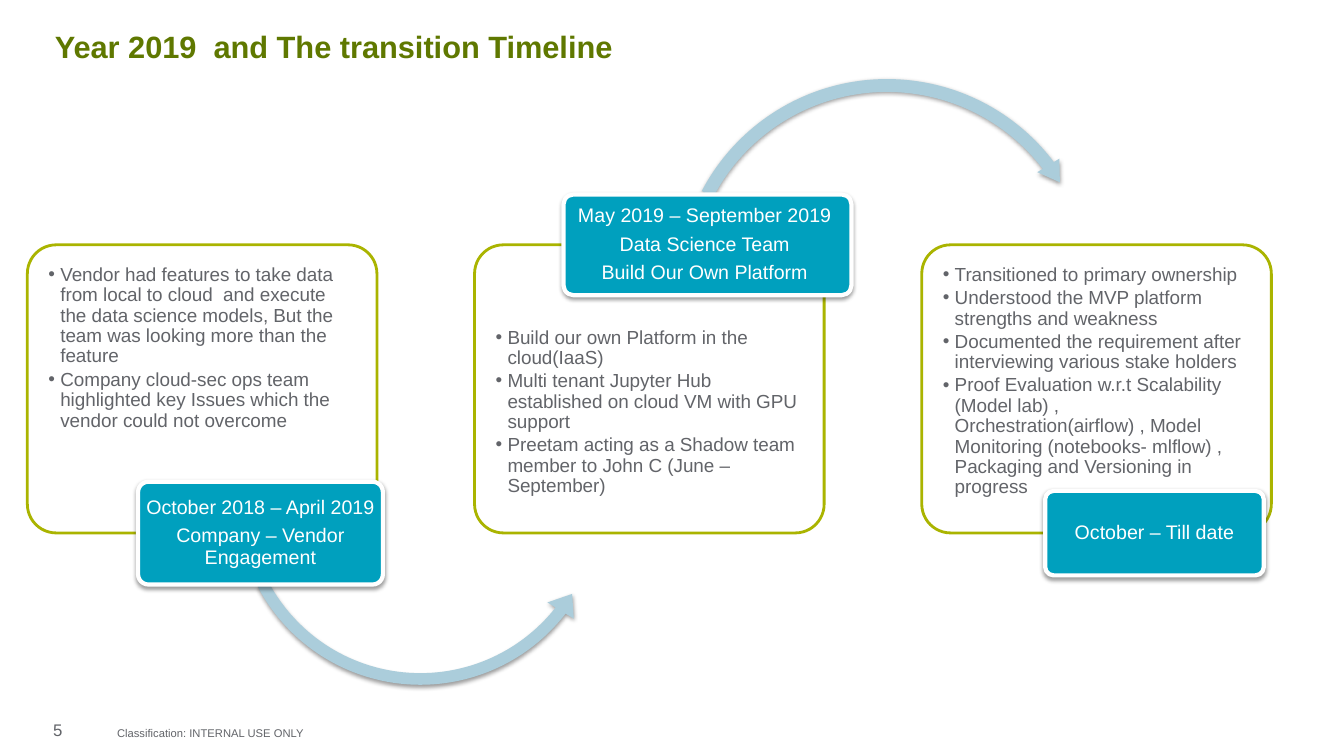
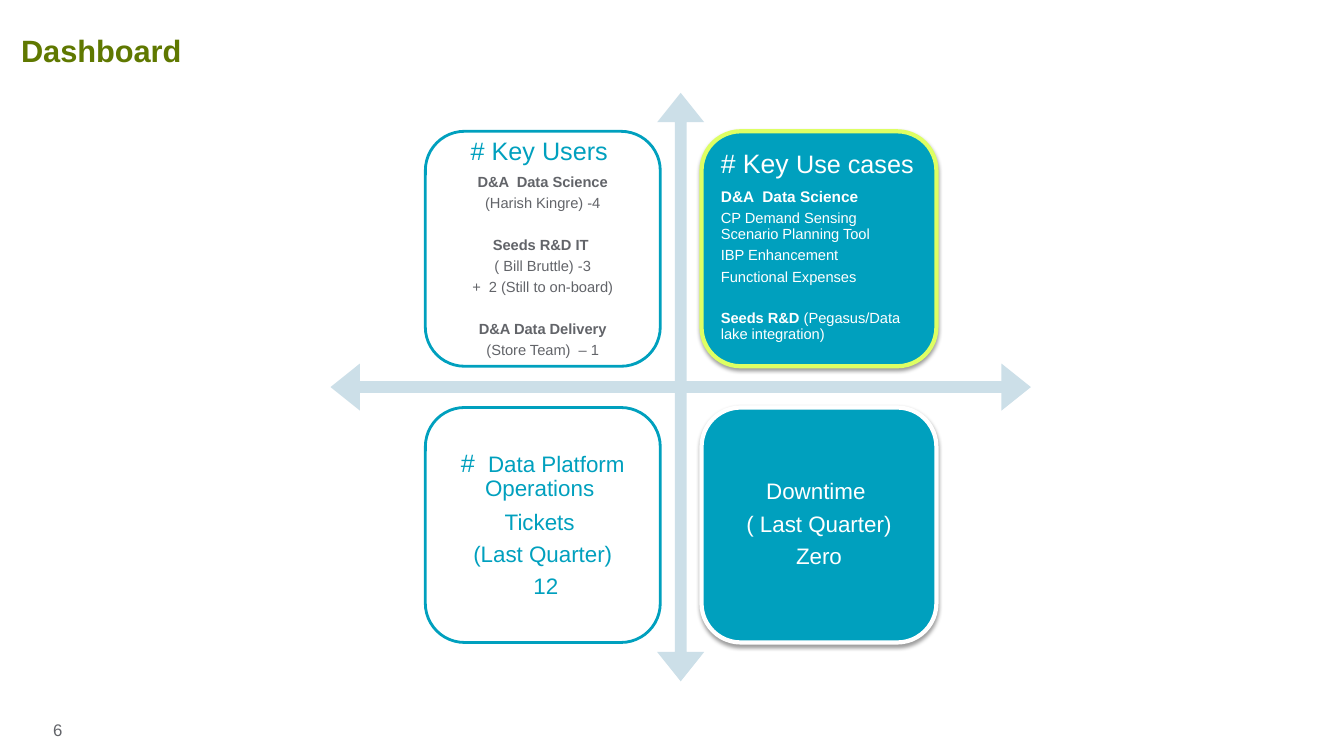
from dataclasses import dataclass

from pptx import Presentation
from pptx.dml.color import RGBColor
from pptx.enum.shapes import MSO_SHAPE
from pptx.enum.text import MSO_ANCHOR, MSO_AUTO_SIZE, PP_ALIGN
from pptx.oxml.ns import qn
from pptx.util import Cm, Pt
from lxml.etree import SubElement

COLORS = {
    "title": "5F7800",
    "body": "626469",
    "white": "FFFFFF",
    "teal": "00A0BE",
    "olive": "AAB400",
    "lime": "DEFF63",
    "arc": "ABCDDB",
    "axis": "CCDFE8",
    "shadow": "000000",
}
FONT = "Arial"
COMPARISON_LAYOUT, TITLE_ONLY_LAYOUT = 4, 5
LABEL_AFTER, TASK_AFTER = 0.36, 0.15  # paragraph gaps as shares of the text size
GROUP_GAP = 14.7

Box = tuple[float, float, float, float]  # left, top, width, height in cm


@dataclass(frozen=True)
class Run:
    text: str
    size: float | None = None
    bold: bool | None = None
    color: str | None = None


@dataclass(frozen=True)
class Line:
    runs: tuple[Run, ...]
    gap: float = 0  # points above the line


@dataclass(frozen=True)
class Phase:
    tasks: tuple[str, ...]
    tasks_top: float
    label: tuple[str, ...]
    label_box: Box


@dataclass(frozen=True)
class Arc:
    preset: MSO_SHAPE
    box: Box
    adjustments: tuple[float, ...]


@dataclass(frozen=True)
class Quadrant:
    lines: tuple
    fill: str
    border: str
    text_color: str
    size: float
    align: PP_ALIGN = PP_ALIGN.CENTER
    anchor: MSO_ANCHOR = MSO_ANCHOR.MIDDLE
    inset: tuple[float, float] = (0.18, 0.18)


def line(text: str, size: float = 10.5, bold: bool = False,
         color: str | None = None, gap: float = 0) -> Line:
    return Line((Run(text, size, bold, color),), gap)


# Timeline content
PHASES = (
    Phase(
        ("Vendor had features to take data from local to cloud  and execute the data "
         "science models, But the team was looking more than the feature",
         "Company cloud-sec ops team highlighted key Issues which the vendor could "
         "not overcome"),
        6.32,
        ("October 2018 – April 2019", "Company – Vendor Engagement"),
        (3.48, 12.14, 6.17, 2.59),
    ),
    Phase(
        ("Build our own Platform in the cloud(IaaS)",
         "Multi tenant Jupyter Hub established on cloud VM with GPU support",
         "Preetam acting as a Shadow team member to John C (June – September)"),
        7.9,
        ("May 2019 – September 2019 ", "Data Science Team ", "Build Our Own Platform "),
        (14.2, 4.9, 7.26, 2.54),
    ),
    Phase(
        ("Transitioned to primary ownership",
         "Understood the MVP platform strengths and weakness",
         "Documented the requirement after interviewing various stake holders",
         "Proof Evaluation w.r.t Scalability (Model lab) , Orchestration(airflow) , Model "
         "Monitoring (notebooks- mlflow) , Packaging and Versioning in progress"),
        6.32,
        ("October – Till date",),
        (26.34, 12.37, 5.51, 2.13),
    ),
)
ARCS = (
    Arc(MSO_SHAPE.LEFT_CIRCULAR_ARROW, (5.72, 7.75, 9.75, 9.75),
        (0.03, 3.91, 22.8, 91.38, 0.04)),
    Arc(MSO_SHAPE.CIRCULAR_ARROW, (16.92, 1.83, 10.87, 10.87),
        (0.03, 3.48, 193.63, 124.62, 0.03)),
)

# Dashboard content, row by row
QUADRANTS = (
    Quadrant(
        (line("# Key Users ", 18, color="teal"),
         line("D&A  Data Science", bold=True),
         line("(Harish Kingre) -4"),
         line("Seeds R&D IT ", bold=True, gap=GROUP_GAP),
         line("( Bill Bruttle) -3"),
         line("+  2 (Still to on-board)"),
         line("D&A Data Delivery", bold=True, gap=GROUP_GAP),
         line("(Store Team)  – 1")),
        "white", "teal", "body", 10.5, inset=(0.18, 0)),
    Quadrant(
        (Line((Run("# Key ", 19), Run("Use cases", 18))),
         line("D&A  Data Science", 11, True),
         line("CP Demand Sensing Scenario Planning Tool"),
         line("IBP Enhancement"),
         line("Functional Expenses"),
         Line((Run("Seeds R&D", bold=True), Run(" (Pegasus/Data lake integration)")),
              GROUP_GAP)),
        "teal", "lime", "white", 10.5, PP_ALIGN.LEFT, MSO_ANCHOR.TOP, (0.2, 0.2)),
    Quadrant(
        (Line((Run("# ", 18), Run(" Data Platform Operations "))),
         "Tickets ", "(Last Quarter)", " 12"),
        "white", "teal", "teal", 16),
    Quadrant(("Downtime ", "( Last Quarter)", "Zero"), "teal", "white", "white", 16),
)


def rgb(name: str) -> RGBColor:
    return RGBColor.from_string(COLORS[name])


def place(shape, box: Box) -> None:
    shape.left, shape.top, shape.width, shape.height = map(Cm, box)


def write(shape, lines, *, size: float, color: str, bold: bool = False,
          align=PP_ALIGN.LEFT, anchor=MSO_ANCHOR.TOP, inset=(0.0, 0.0),
          after: float = 0, spacing: float = 0.9, bullet: bool = False) -> None:
    """Fill a shape with lines; after is a share of the text size."""
    frame = shape.text_frame
    frame.word_wrap = True
    frame.auto_size = MSO_AUTO_SIZE.NONE
    frame.vertical_anchor = anchor
    frame.margin_left = frame.margin_right = Cm(inset[0])
    frame.margin_top = frame.margin_bottom = Cm(inset[1])
    for index, item in enumerate(lines):
        content = Line((Run(item),)) if isinstance(item, str) else item
        paragraph = frame.paragraphs[0] if index == 0 else frame.add_paragraph()
        paragraph.alignment = align
        paragraph.line_spacing = spacing
        paragraph.space_before = Pt(content.gap)
        largest = max(run.size or size for run in content.runs)
        paragraph.space_after = Pt(round(after * largest, 1))
        if bullet:
            properties = paragraph._p.get_or_add_pPr()
            properties.set("marL", str(Cm(0.3)))
            properties.set("indent", str(-Cm(0.3)))
            SubElement(properties, qn("a:buChar")).set("char", "•")
        for part in content.runs:
            run = paragraph.add_run()
            run.text = part.text
            run.font.name = FONT
            run.font.size = Pt(part.size or size)
            run.font.bold = bold if part.bold is None else part.bold
            run.font.color.rgb = rgb(part.color or color)


def add_shadow(shape) -> None:
    effects = shape._element.spPr.find(qn("a:effectLst"))
    outer = SubElement(effects, qn("a:outerShdw"), blurRad=str(Pt(3.1)),
                       dist=str(Pt(1.6)), dir="5400000", rotWithShape="0")
    tint = SubElement(outer, qn("a:srgbClr"), val=COLORS["shadow"])
    SubElement(tint, qn("a:alpha"), val="38000")


def draw(slide, preset: MSO_SHAPE, box: Box, *, fill: str | None = None,
         border: str | None = None, width: float = 2, adjustments=(),
         shadow: bool = False):
    shape = slide.shapes.add_shape(preset, *map(Cm, box))
    for index, value in enumerate(adjustments):
        shape.adjustments[index] = value
    if fill:
        shape.fill.solid()
        shape.fill.fore_color.rgb = rgb(fill)
    else:
        shape.fill.background()
    if border:
        shape.line.color.rgb = rgb(border)
        shape.line.width = Pt(width)
    else:
        shape.line.fill.background()
    shape.shadow.inherit = False
    if shadow:
        add_shadow(shape)
    return shape


def add_note(slide, text: str, box: Box, **style) -> None:
    write(slide.shapes.add_textbox(*map(Cm, box)), (text,),
          color="body", spacing=1.0, **style)


def start_slide(prs, layout: int, title: str, title_box: Box, number: int):
    """Add a slide with the shared title style and page number."""
    slide = prs.slides.add_slide(prs.slide_layouts[layout])
    place(slide.shapes.title, title_box)
    write(slide.shapes.title, (title,), size=22, color="title", bold=True,
          anchor=MSO_ANCHOR.MIDDLE)
    add_note(slide, str(number), (1.09, 18.01, 2.06, 1.04), size=12, inset=(0.25, 0.13))
    return slide


def build_timeline(prs) -> None:
    slide = start_slide(prs, COMPARISON_LAYOUT, "Year 2019  and The transition Timeline",
                        (1.38, 0.25, 31.09, 1.93), 5)
    # Cards and their task lists
    *task_lists, spare = [p for p in slide.placeholders if p.placeholder_format.idx != 0]
    spare._element.getparent().remove(spare._element)
    for column, (phase, tasks) in enumerate(zip(PHASES, task_lists)):
        left = 0.69 + column * 11.27
        draw(slide, MSO_SHAPE.ROUNDED_RECTANGLE, (left, 6.17, 8.81, 7.26),
             border="olive", adjustments=(0.1,))
        place(tasks, (left + 0.17, phase.tasks_top, 8.48, 5.38))
        write(tasks, phase.tasks, size=13.5, color="body", inset=(0.36, 0.36),
              after=TASK_AFTER, bullet=True)
    # Arcs, then the labels that cover their starts
    for arc in ARCS:
        draw(slide, arc.preset, arc.box, fill="arc", adjustments=arc.adjustments,
             shadow=True)
    for phase in PHASES:
        label = draw(slide, MSO_SHAPE.ROUNDED_RECTANGLE, phase.label_box, fill="teal",
                     border="white", width=3, adjustments=(0.1,), shadow=True)
        write(label, phase.label, size=14, color="white", align=PP_ALIGN.CENTER,
              anchor=MSO_ANCHOR.MIDDLE, inset=(0.08, 0.05), after=LABEL_AFTER)
    add_note(slide, "Classification: INTERNAL USE ONLY", (2.95, 17.95, 21.31, 1.04),
             size=8, anchor=MSO_ANCHOR.MIDDLE, inset=(0, 0.13))


def build_dashboard(prs) -> None:
    slide = start_slide(prs, TITLE_ONLY_LAYOUT, "Dashboard", (0.53, 0.33, 29.18, 2.01), 6)
    draw(slide, MSO_SHAPE.QUAD_ARROW, (8.33, 2.34, 17.65, 14.83), fill="axis",
         adjustments=(0.02, 0.04, 0.05))
    side, pitch = 5.92, 6.96
    for index, quadrant in enumerate(QUADRANTS):
        row, column = divmod(index, 2)
        filled = quadrant.fill == "teal"
        tile = draw(slide, MSO_SHAPE.ROUNDED_RECTANGLE,
                    (10.72 + column * pitch, 3.31 + row * pitch, side, side),
                    fill=quadrant.fill, border=quadrant.border,
                    width=3 if filled else 2, shadow=filled)
        write(tile, quadrant.lines, size=quadrant.size, color=quadrant.text_color,
              align=quadrant.align, anchor=quadrant.anchor, inset=quadrant.inset,
              after=LABEL_AFTER)


def main() -> None:
    prs = Presentation()
    prs.slide_width, prs.slide_height = Cm(33.87), Cm(19.05)
    build_timeline(prs)
    build_dashboard(prs)
    prs.save("out.pptx")


if __name__ == "__main__":
    main()
